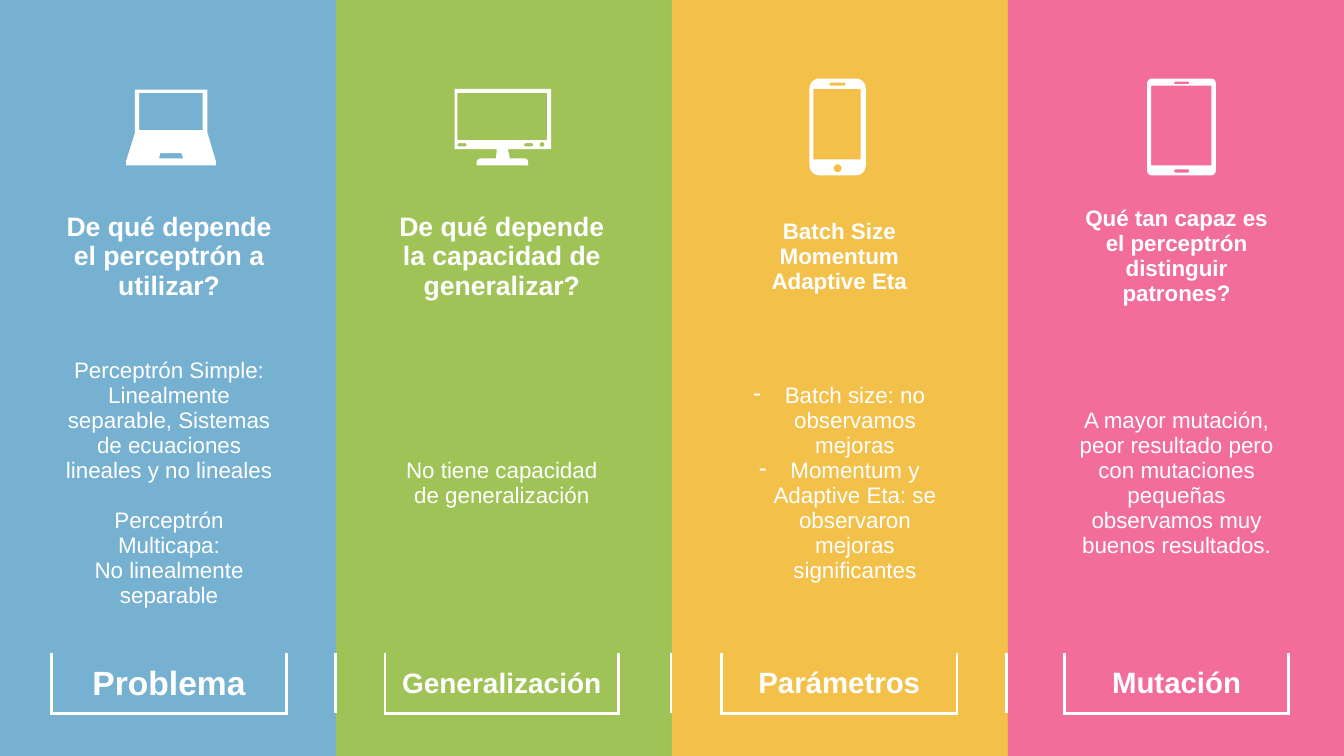
from dataclasses import dataclass
from math import cos, pi, sin

from lxml.etree import SubElement
from pptx import Presentation
from pptx.dml.color import RGBColor
from pptx.enum.shapes import MSO_SHAPE as Preset
from pptx.enum.text import MSO_ANCHOR as Anchor, PP_ALIGN as Align
from pptx.oxml import parse_xml
from pptx.oxml.ns import nsdecls, qn
from pptx.util import Cm, Pt

Contour = list[tuple[float, float]]


@dataclass(frozen=True)
class Theme:
    font: str = "Arial"
    white: str = "FFFFFF"
    blue: str = "76B1D1"
    green: str = "A0C358"
    yellow: str = "F3C04A"
    pink: str = "F26D9A"
    body: int = 16
    small_heading: int = 16
    heading: int = 19
    small_label: int = 20
    label: int = 21
    large_label: int = 24
    border: float = 2.25


@dataclass(frozen=True)
class Line:
    text: str
    space_before: int = 0
    bullet: bool = False


@dataclass(frozen=True)
class Panel:
    color: str
    widths: tuple[float, float, float]
    heading: list[Line]
    heading_size: int
    body: list[Line]
    label: str
    label_size: int
    icon: list[Contour]


def box(left: float, top: float, width: float, height: float) -> Contour:
    right, bottom = left + width, top + height
    return [(left, top), (right, top), (right, bottom), (left, bottom)]


def rounded(left: float, top: float, width: float, height: float, radius: float) -> Contour:
    """Outline of a box whose corners are quarter circles."""
    centers = box(left + radius, top + radius, width - 2 * radius, height - 2 * radius)
    steps = 6
    return [
        (x + radius * cos(angle), y + radius * sin(angle))
        for corner, (x, y) in enumerate(centers)
        for angle in (pi + (corner + step / steps) * pi / 2 for step in range(steps + 1))
    ]


THEME = Theme()
TABLE_TOP = 0.99
ROW_HEIGHTS = (4.04, 1.32, 8.56, 1.52)
HEADING_ROW, BODY_ROW, LABEL_ROW = 1, 2, 3
CELL_FORMAT = {
    "vertical_anchor": Anchor.MIDDLE,
    "margin_left": Cm(0.33), "margin_right": Cm(0.33),
    "margin_top": Cm(0.18), "margin_bottom": Cm(0.18),
}
LABEL_BORDERS = ("R", "LRB", "L")
NO_STYLE = "{2D5ABB26-0587-4C30-8999-92F81FD0307C}"

LAPTOP = [
    [(3.4, 2.26), (5.23, 2.26), (5.23, 3.35), (5.44, 4.06), (5.44, 4.17),
     (3.18, 4.17), (3.18, 4.06), (3.4, 3.35)],
    box(3.51, 2.34, 1.6, 0.94),
    [(4.04, 3.86), (4.01, 3.99), (4.62, 3.99), (4.57, 3.86)],
]
MONITOR = [
    [(11.46, 2.24), (13.89, 2.24), (13.89, 3.76), (12.8, 3.76), (12.85, 3.99),
     (13.23, 3.99), (13.29, 4.02), (13.31, 4.09), (13.31, 4.17), (12.01, 4.17),
     (12.01, 4.09), (12.04, 4.02), (12.12, 3.99), (12.5, 3.99), (12.52, 3.76),
     (11.46, 3.76)],
    box(11.53, 2.34, 2.26, 1.19),
    rounded(11.53, 3.61, 0.23, 0.08, 0.04),
    rounded(13.21, 3.61, 0.23, 0.08, 0.04),
    rounded(13.6, 3.58, 0.12, 0.12, 0.06),
]
PHONE = [
    rounded(20.4, 1.98, 1.42, 2.44, 0.25),
    box(20.5, 2.24, 1.19, 1.78),
    rounded(20.9, 2.08, 0.41, 0.08, 0.04),
    rounded(21.01, 4.14, 0.2, 0.2, 0.1),
]
TABLET = [
    rounded(28.91, 1.98, 1.73, 2.44, 0.12),
    box(29.01, 2.16, 1.52, 2.01),
    rounded(29.59, 2.06, 0.38, 0.06, 0.03),
    rounded(29.59, 4.27, 0.38, 0.08, 0.04),
]

PANELS = [
    Panel(THEME.blue, (1.3, 5.92, 1.24),
          [Line("De qué depende el perceptrón a utilizar?")], THEME.heading,
          [Line("Perceptrón Simple: Linealmente separable, Sistemas de ecuaciones "
                "lineales y no lineales"),
           Line("Perceptrón Multicapa:", space_before=18),
           Line("No linealmente separable")],
          "Problema", THEME.large_label, LAPTOP),
    Panel(THEME.green, (1.24, 5.89, 1.32),
          [Line("De qué depende la capacidad de generalizar?")], THEME.heading,
          [Line("No tiene capacidad de generalización")],
          "Generalización", THEME.small_label, MONITOR),
    Panel(THEME.yellow, (1.27, 5.94, 1.24),
          [Line("Batch Size"), Line("Momentum"), Line("Adaptive Eta")], THEME.small_heading,
          [Line("Batch size: no observamos mejoras", bullet=True),
           Line("Momentum y Adaptive Eta: se observaron mejoras significantes", bullet=True)],
          "Parámetros", THEME.label, PHONE),
    Panel(THEME.pink, (1.47, 5.64, 1.37),
          [Line("Qué tan capaz es el perceptrón distinguir patrones?")], THEME.small_heading,
          [Line("A mayor mutación, peor resultado pero con mutaciones pequeñas "
                "observamos muy buenos resultados.")],
          "Mutación", THEME.label, TABLET),
]


def paint(shape, color: str) -> None:
    shape.shadow.inherit = False
    shape.fill.solid()
    shape.fill.fore_color.rgb = RGBColor.from_string(color)
    shape.line.fill.background()


def draw_icon(slide, contours: list[Contour]) -> None:
    """Draw one freeform; contours after the first cut holes in it."""
    builder = None
    for contour in contours:
        start, *others = [(Cm(x), Cm(y)) for x, y in contour]
        if builder is None:
            builder = slide.shapes.build_freeform(*start)
        else:
            builder.move_to(*start)
        builder.add_line_segments(others, close=True)
    paint(builder.convert_to_shape(), THEME.white)


def write_cell(cell, lines: list[Line], size: int, bold: bool) -> None:
    for name, value in CELL_FORMAT.items():
        setattr(cell, name, value)
    frame = cell.text_frame
    for index, line in enumerate(lines):
        paragraph = frame.add_paragraph() if index else frame.paragraphs[0]
        paragraph.alignment = Align.CENTER
        if line.space_before:
            paragraph.space_before = Pt(line.space_before)
        if line.bullet:
            properties = paragraph._p.get_or_add_pPr()
            properties.set("marL", str(Cm(0.79)))
            properties.set("indent", str(-Cm(0.79)))
            SubElement(properties, qn("a:buChar"), char="-")
        run = paragraph.add_run()
        run.text = line.text
        for name, value in {"name": THEME.font, "size": Pt(size), "bold": bold}.items():
            setattr(run.font, name, value)
        run.font.color.rgb = RGBColor.from_string(THEME.white)


def add_borders(cell, sides: str) -> None:
    properties = cell._tc.get_or_add_tcPr()
    for position, side in enumerate(sides):
        properties.insert(position, parse_xml(
            f'<a:ln{side} {nsdecls("a")} w="{Pt(THEME.border)}"><a:solidFill>'
            f'<a:srgbClr val="{THEME.white}"/></a:solidFill></a:ln{side}>'))


def draw_table(slide, width: int) -> None:
    table = slide.shapes.add_table(
        len(ROW_HEIGHTS), 3 * len(PANELS), 0, Cm(TABLE_TOP), width, Cm(sum(ROW_HEIGHTS))).table
    table.first_row = table.horz_banding = False
    table._tbl.tblPr.find(qn("a:tableStyleId")).text = NO_STYLE
    for row, height in zip(table.rows, ROW_HEIGHTS):
        row.height = Cm(height)
    for cell in table.iter_cells():
        cell.fill.background()
    for index, panel in enumerate(PANELS):
        first = 3 * index
        for offset, (column_width, sides) in enumerate(zip(panel.widths, LABEL_BORDERS)):
            table.columns[first + offset].width = Cm(column_width)
            add_borders(table.cell(LABEL_ROW, first + offset), sides)
        middle = first + 1
        write_cell(table.cell(HEADING_ROW, middle), panel.heading, panel.heading_size, True)
        write_cell(table.cell(BODY_ROW, middle), panel.body, THEME.body, False)
        write_cell(table.cell(LABEL_ROW, middle), [Line(panel.label)], panel.label_size, True)


def main() -> None:
    presentation = Presentation()
    presentation.slide_width, presentation.slide_height = Cm(33.87), Cm(19.05)
    slide = presentation.slides.add_slide(presentation.slide_layouts[6])
    panel_width = presentation.slide_width // len(PANELS)
    for index, panel in enumerate(PANELS):
        paint(slide.shapes.add_shape(Preset.RECTANGLE, index * panel_width, 0, panel_width,
                                     presentation.slide_height), panel.color)
    draw_table(slide, presentation.slide_width)
    for panel in PANELS:
        draw_icon(slide, panel.icon)
    presentation.save("out.pptx")


if __name__ == "__main__":
    main()
